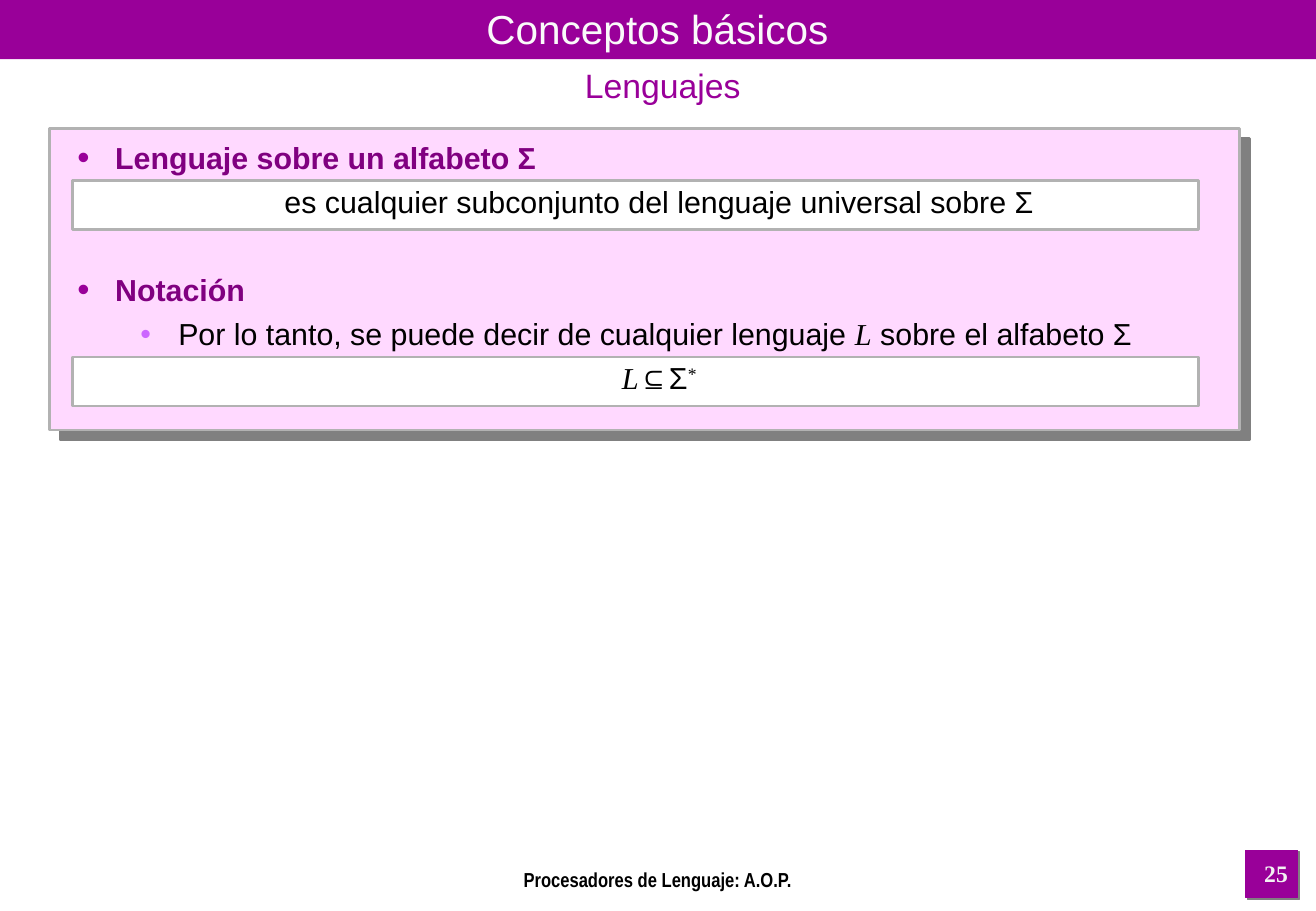
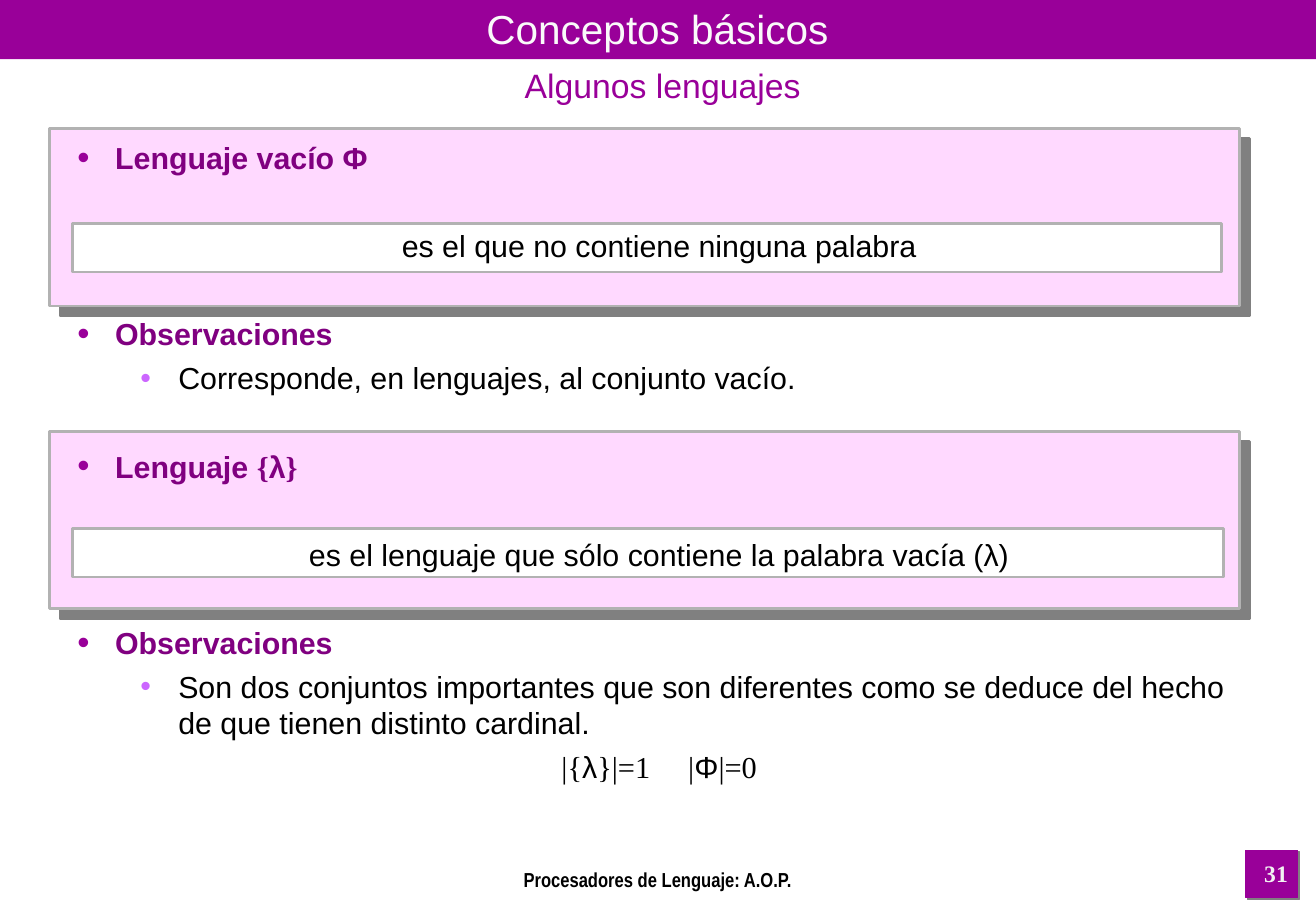
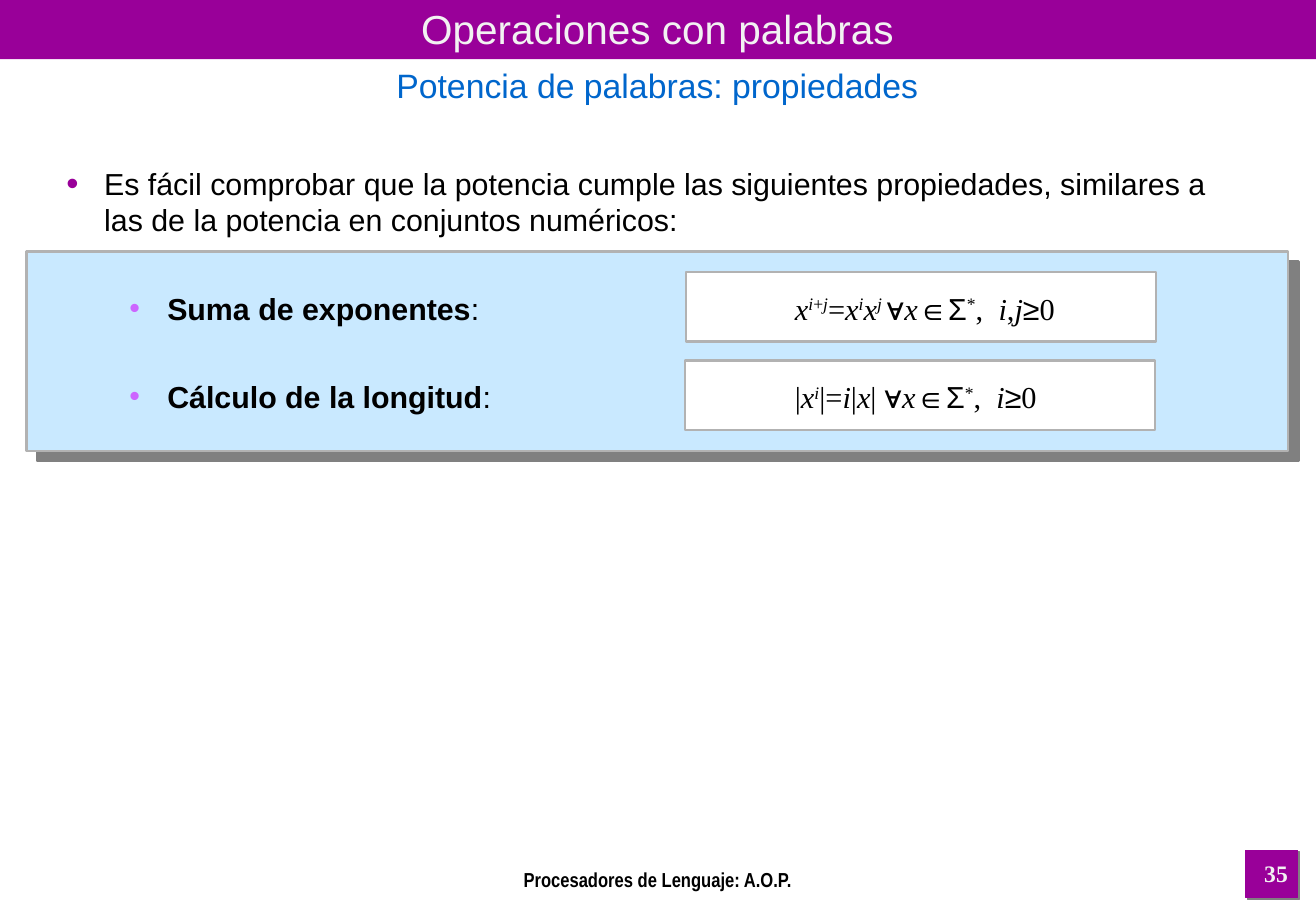
from dataclasses import dataclass
from typing import Any, NamedTuple

from lxml import etree
from pptx import Presentation
from pptx.dml.color import RGBColor
from pptx.enum import shapes, text
from pptx.oxml import ns
from pptx.util import Cm, Pt


@dataclass(frozen=True)
class Theme:
    brand: str = "990099"
    head: str = "800080"
    sub: str = "CC66FF"
    pink: str = "FFD9FF"
    sky: str = "C9E9FF"
    blue: str = "0066CC"
    white: str = "FFFFFF"
    pale: str = "FAFAFA"
    light: str = "F2F2F2"
    edge: str = "B2B2B2"
    shade: str = "808080"
    ink: str = "000000"
    sans: str = "Arial"
    thin: str = "Arial Narrow"
    serif: str = "Times New Roman"
    title: float = 24
    second: float = 20
    body: float = 18
    page: float = 14
    foot: float = 12
    before: float = 4.5
    row: float = 26.1


T = Theme()
WIDE, HIGH = 27.53, 19.05


class Box(NamedTuple):
    """Left, top, width and height in centimetres."""
    x: float
    y: float
    w: float
    h: float


class Run(NamedTuple):
    txt: str
    face: str = T.sans
    size: float = T.body
    color: str = T.ink
    bold: bool = False
    slant: bool = False
    high: bool = False
    space: float = 0


class Style(NamedTuple):
    left: float = 0
    hang: float = 0
    level: int = 0
    dot: str = ""
    scale: int = 100
    mid: bool = False


class Para(NamedTuple):
    style: Style
    runs: list[Run]
    skip: bool = False  # leave one row free above
    tab: float = 0


@dataclass(frozen=True)
class Page:
    num: int
    title: str
    second: str
    body: Box
    paras: list[Para]
    panels: list[Box]
    cards: list[Box]
    fill: str = T.pink
    tint: str = T.brand
    glow: str = T.pale
    under: Box = Box(0.2, 1.24, 27.33, 1.12)


TOP = Style(0.79, -0.79, 0, T.brand, 115)
SUB = Style(2.11, -0.79, 1, T.sub)
MID = Style(0.79, -0.79, mid=True)
PLAIN = Style(mid=True)


def head(txt: str, face: str = T.sans) -> Run:
    return Run(txt, face, color=T.head, bold=True)


def up(txt: str, high: bool = False) -> Run:
    """Upright serif for formulas."""
    return Run(txt, T.serif, high=high)


def var(txt: str, high: bool = False) -> Run:
    """Slanted serif for variables."""
    return Run(txt, T.serif, slant=True, high=high)


def gap(extra: float) -> Run:
    """One space, widened by some points."""
    return Run(" ", T.serif, space=extra)


def paint(color: str) -> RGBColor:
    return RGBColor.from_string(color)


def node(home: Any, tag: str, **attrs: Any) -> Any:
    item = etree.SubElement(home, ns.qn(f"a:{tag}"))
    for key, val in attrs.items():
        item.set(key, str(val))
    return item


def rect(slide: Any, box: Box, fill: str, edge: str = "",
         width: float = 1.5, drop: float = 0) -> None:
    """Filled box; drop is the length of its shadow in points."""
    shape = slide.shapes.add_shape(shapes.MSO_SHAPE.RECTANGLE, *map(Cm, box))
    shape.fill.solid()
    shape.fill.fore_color.rgb = paint(fill)
    if edge:
        shape.line.color.rgb = paint(edge)
        shape.line.width = Pt(width)
    else:
        shape.line.fill.background()
    shape.shadow.inherit = False
    if drop:
        home = shape._element.spPr.find(ns.qn("a:effectLst"))
        cast = node(home, "outerShdw", dist=Pt(drop), dir=45 * 60000,
                    algn="ctr", rotWithShape=0)
        node(cast, "srgbClr", val=T.shade)


def mark(par: Any, style: Style, tab: float) -> None:
    """Set indents, bullet and tab stop."""
    props = par._p.get_or_add_pPr()
    props.set("marL", str(Cm(style.left)))
    props.set("indent", str(Cm(style.hang)))
    if style.dot:
        node(node(props, "buClr"), "srgbClr", val=style.dot)
        node(props, "buSzPct", val=style.scale * 1000)
        node(props, "buFont", typeface=T.sans)
        node(props, "buChar", char="•")
    if tab:
        node(node(props, "tabLst"), "tab", pos=Cm(tab), algn="l")


def write(slide: Any, box: Box, paras: list[Para], mid: bool = False) -> None:
    frame = slide.shapes.add_textbox(*map(Cm, box)).text_frame
    frame.word_wrap = True
    if mid:
        frame.vertical_anchor = text.MSO_ANCHOR.MIDDLE
    for k, para in enumerate(paras):
        par = frame.add_paragraph() if k else frame.paragraphs[0]
        mark(par, para.style, para.tab)
        par.level = para.style.level
        par.alignment = (text.PP_ALIGN.CENTER if para.style.mid
                         else text.PP_ALIGN.LEFT)
        if k:
            par.space_before = Pt(T.before + T.row * para.skip)
        for part in para.runs:
            run = par.add_run()
            run.text = part.txt
            font = run.font
            font.name, font.size = part.face, Pt(part.size)
            font.bold, font.italic = part.bold, part.slant
            font.color.rgb = paint(part.color)
            props = run._r.get_or_add_rPr()
            if part.high:
                props.set("baseline", "30000")
            if part.space:
                props.set("spc", str(int(part.space * 100)))


def label(slide: Any, box: Box, run: Run, mid: bool = False) -> None:
    write(slide, box, [Para(PLAIN, [run])], mid)


def build(deck: Any, page: Page) -> None:
    slide = deck.slides.add_slide(deck.slide_layouts[6])
    rect(slide, Box(0, 0, WIDE, 1.24), T.brand)
    rect(slide, Box(26.06, 17.78, 1.09, 0.99), T.brand, T.brand, 0.75, 1.4)
    for box in page.panels:
        rect(slide, box, page.fill, T.edge, drop=8.5)
    for box in page.cards:
        rect(slide, box, T.white, T.edge)
    label(slide, Box(0, 0.15, 27.51, 0.89),
          Run(page.title, size=T.title, color=page.glow), True)
    write(slide, page.body, page.paras)
    label(slide, page.under, Run(page.second, size=T.second, color=page.tint))
    label(slide, Box(7.65, 18.01, 12.22, 0.46),
          Run("Procesadores de Lenguaje: A.O.P.", T.thin, T.foot, bold=True))
    label(slide, Box(26.01, 17.83, 1.37, 0.89),
          Run(str(page.num), T.serif, T.page, T.light, True))


STAR = [var("x"), Run("∈Σ"), up("*", True), up(","), gap(4.5)]
LAW = 15.24  # tab stop of the formulas

PAGES = [
    Page(
        25, "Conceptos básicos", "Lenguajes",
        Box(1.37, 2.79, 24.84, 6.55),
        [
            Para(TOP, [head("Lenguaje sobre un alfabeto Σ")]),
            Para(MID, [Run("es cualquier subconjunto del lenguaje "
                           "universal sobre Σ")]),
            Para(TOP, [head("Notación")], True),
            Para(SUB, [Run("Por lo tanto, se puede decir de cualquier "
                           "lenguaje "),
                       var("L"), Run(" sobre el alfabeto Σ")]),
            Para(MID, [var("L"), Run("⊆Σ"), up("*", True)]),
        ],
        [Box(1.04, 2.69, 24.89, 6.3)],
        [Box(1.52, y, 23.55, 1.02) for y in (7.47, 3.78)],
    ),
    Page(
        31, "Conceptos básicos", "Algunos lenguajes",
        Box(1.37, 2.79, 24.84, 14.68),
        [
            Para(TOP, [head("Lenguaje vacío Φ")]),
            Para(MID, [Run("es el que no contiene ninguna palabra")], True),
            Para(TOP, [head("Observaciones")], True),
            Para(SUB, [Run("Corresponde, en lenguajes, al conjunto vacío.")]),
            Para(TOP, [head("Lenguaje "), head("{", T.serif), head("λ"),
                       head("}", T.serif)], True),
            Para(MID, [Run("es el lenguaje que sólo contiene la palabra "
                           "vacía (λ)")], True),
            Para(TOP, [head("Observaciones")], True),
            Para(SUB, [Run("Son dos conjuntos importantes que son diferentes "
                           "como se deduce del hecho de que tienen distinto "
                           "cardinal.")]),
            Para(MID, [up("|{"), Run("λ"), up("}|=1"), gap(18), up("|"),
                       Run("Φ"), up("|=0")]),
        ],
        [Box(1.04, y, 24.89, 3.71) for y in (9.02, 2.69)],
        [Box(1.52, 4.67, 24.03, 1.02), Box(1.52, 11.05, 24.08, 1.02)],
    ),
    Page(
        35, "Operaciones con palabras", "Potencia de palabras: propiedades",
        Box(1.14, 3.33, 25.3, 5.46),
        [
            Para(TOP, [Run("Es fácil comprobar que la potencia cumple las "
                           "siguientes propiedades, similares a las de la "
                           "potencia en conjuntos numéricos:")]),
            Para(SUB, [Run("Suma de exponentes", bold=True), Run(":\t"),
                       var("x"), var("i", True), up("+", True),
                       var("j", True), up("="), var("x"), var("i", True),
                       var("x"), var("j ", True), Run("∀"), *STAR,
                       var("i"), up(","), var("j"), Run("≥"), up("0")],
                 True, LAW),
            Para(SUB, [Run("Cálculo de la longitud", bold=True), Run(":\t"),
                       up("|"), var("x"), var("i", True), up("|="), var("i"),
                       up("|"), var("x"), up("| "), Run("∀"), *STAR,
                       var("i"), Run("≥"), up("0")],
                 True, LAW),
        ],
        [Box(0.56, 5.26, 26.39, 4.17)],
        [Box(14.35, 5.69, 9.83, 1.45), Box(14.33, 7.54, 9.83, 1.45)],
        T.sky, T.blue, T.light, Box(0, 1.24, 27.51, 1.12),
    ),
]


def main() -> None:
    deck = Presentation()
    deck.slide_width, deck.slide_height = Cm(WIDE), Cm(HIGH)
    for page in PAGES:
        build(deck, page)
    deck.save("out.pptx")


if __name__ == "__main__":
    main()
